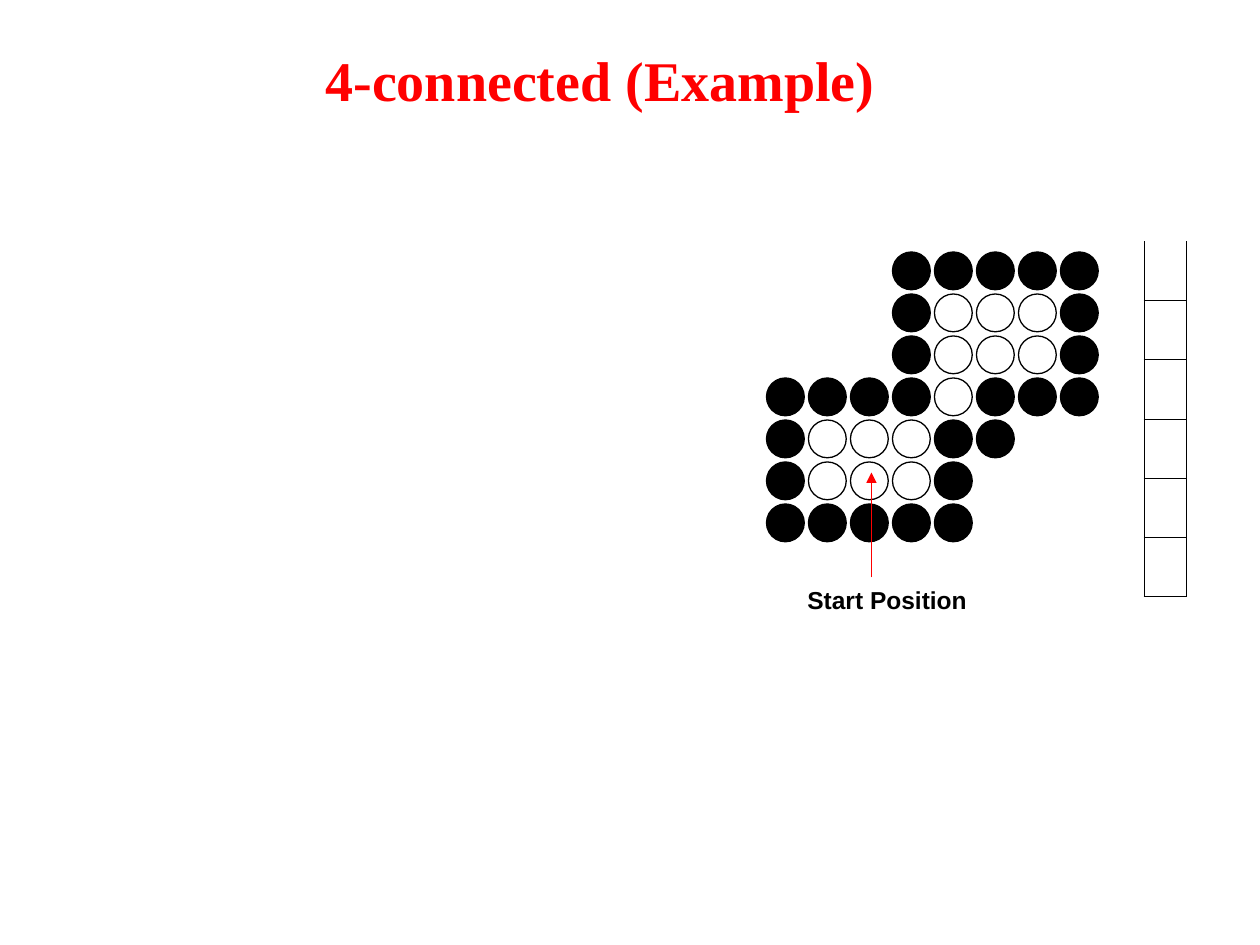
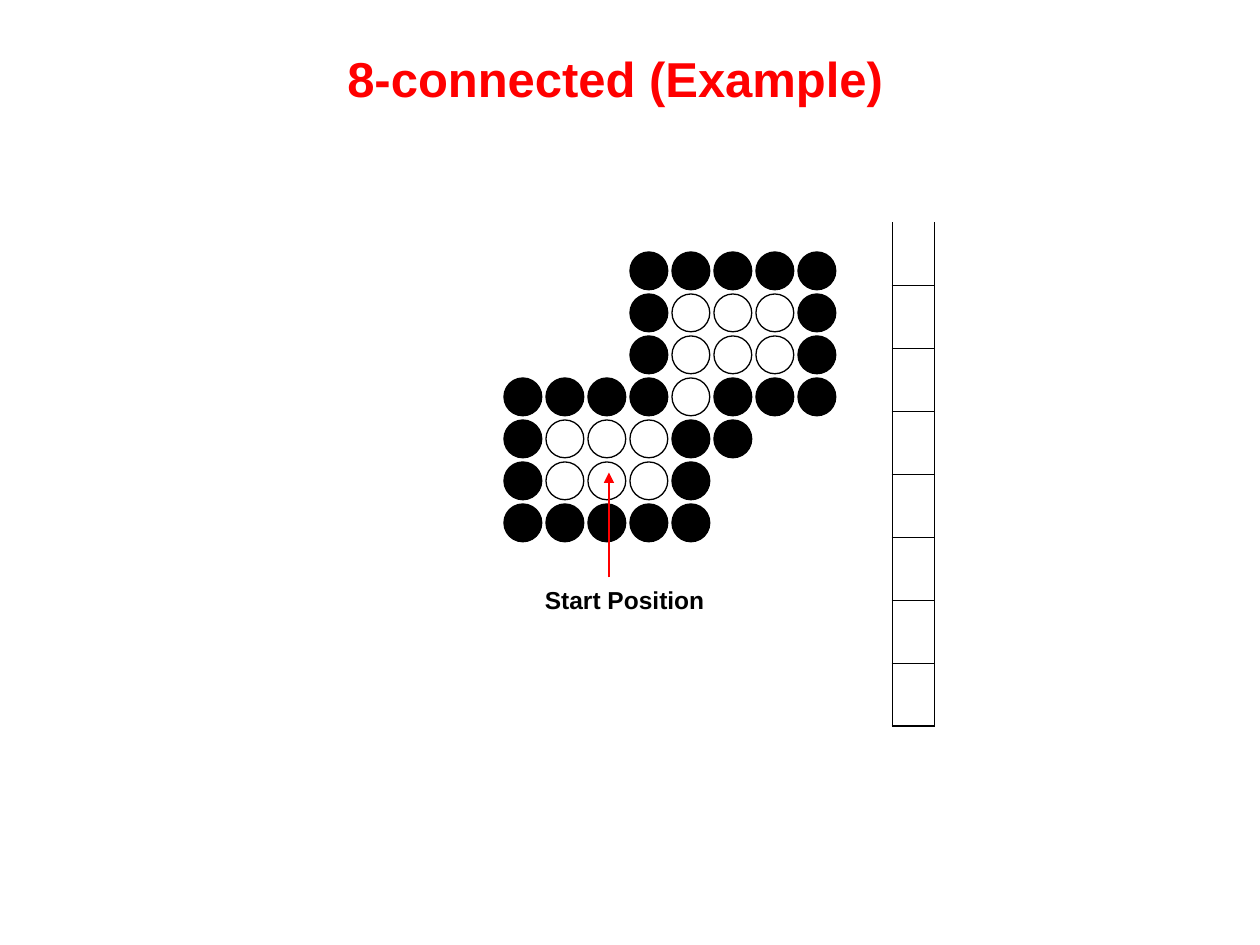
from lxml import etree
from pptx import Presentation
from pptx.dml.color import RGBColor
from pptx.enum import shapes, text
from pptx.oxml import ns
from pptx.util import Pt

BLACK = RGBColor(0x00, 0x00, 0x00)
RED = RGBColor(0xFF, 0x00, 0x00)

TITLE_ONLY = 5
PITCH = 24
PIXEL_SIZE = 21.6
REGION_TOP = 144
STACK_WIDTH = 24
SIDE_WIDTH, INNER_WIDTH = 1.08, 0.45

REGION = (
    "   #####",
    "   #ooo#",
    "   #ooo#",
    "####o###",
    "#ooo##  ",
    "#ooo#   ",
    "#####   ",
)


def add_xml(parent, tag, **attributes):
    return etree.SubElement(parent, ns.qn(tag), attributes)


def add_run(paragraph, wording, font_name, size, color):
    run = paragraph.add_run()
    run.text = wording
    run.font.name = font_name
    run.font.size = Pt(size)
    run.font.bold = True
    run.font.color.rgb = color


def set_title(slide, wording, left, font_name, size, top_inset, right_inset):
    title = slide.shapes.title
    title.left, title.top, title.width, title.height = Pt(left), Pt(18), Pt(666), Pt(46)
    frame = title.text_frame
    frame.auto_size = text.MSO_AUTO_SIZE.NONE
    frame.vertical_anchor = text.MSO_ANCHOR.TOP
    frame.margin_top = Pt(top_inset)
    frame.margin_right = Pt(right_inset)
    heading = frame.paragraphs[0]
    heading.alignment = text.PP_ALIGN.CENTER
    add_run(heading, wording, font_name, size, RED)


def add_pixel(group, left, top, is_boundary):
    pixel = group.shapes.add_shape(
        shapes.MSO_SHAPE.OVAL, Pt(left), Pt(top), Pt(PIXEL_SIZE), Pt(PIXEL_SIZE))
    pixel.shadow.inherit = False
    pixel.line.color.rgb = BLACK
    pixel.line.width = Pt(0.75)
    if is_boundary:
        pixel.fill.solid()
        pixel.fill.fore_color.rgb = BLACK
    else:
        pixel.fill.background()


def add_start_label(group, left, top):
    label = group.shapes.add_textbox(Pt(left), Pt(top), Pt(114), Pt(24.5))
    label.text_frame.word_wrap = True
    caption = label.text_frame.paragraphs[0]
    caption.alignment = text.PP_ALIGN.CENTER
    add_run(caption, "Start Position", "Arial", 14, BLACK)


def add_start_arrow(group, x, bottom, top):
    arrow = group.shapes.add_connector(
        shapes.MSO_CONNECTOR.STRAIGHT, Pt(x), Pt(bottom), Pt(x), Pt(top))
    arrow.line.color.rgb = RED
    arrow.line.width = Pt(0.75)
    add_xml(arrow.line._get_or_add_ln(), "a:tailEnd", type="triangle")
    add_xml(arrow._element.spPr, "a:effectLst")


def add_region(slide, left, top):
    group = slide.shapes.add_group_shape()
    add_start_label(group, left + 12, top + 187)
    for row, pixels in enumerate(REGION):
        for column, mark in enumerate(pixels):
            if mark != " ":
                add_pixel(group, left + column * PITCH, top + row * PITCH, mark == "#")
    add_start_arrow(group, left + 60, top + 186, top + 126)


def add_border(cell, side, width):
    border = add_xml(cell._tc.get_or_add_tcPr(), f"a:ln{side}", w=str(Pt(width)))
    if width:
        add_xml(add_xml(border, "a:solidFill"), "a:srgbClr", val=str(BLACK))
    else:
        add_xml(border, "a:noFill")


def add_stack(slide, left, top, slots, slot_height):
    stack = slide.shapes.add_table(
        slots, 1, Pt(left), Pt(top), Pt(STACK_WIDTH), Pt(slots * slot_height)).table
    stack.first_row = stack.horz_banding = False
    for index in range(slots):
        stack.rows[index].height = Pt(slot_height)
        slot = stack.cell(index, 0)
        add_border(slot, "L", SIDE_WIDTH)
        add_border(slot, "R", SIDE_WIDTH)
        add_border(slot, "T", INNER_WIDTH if index else 0)
        add_border(slot, "B", INNER_WIDTH if index < slots - 1 else SIDE_WIDTH)
        slot.fill.background()


def add_example(deck, title, region_left, stack):
    slide = deck.slides.add_slide(deck.slide_layouts[TITLE_ONLY])
    set_title(slide, **title)
    add_stack(slide, **stack)
    add_region(slide, region_left, REGION_TOP)


def main():
    deck = Presentation()
    deck.slide_width, deck.slide_height = Pt(720), Pt(540)
    add_example(
        deck,
        title=dict(wording="4-connected (Example)", left=18, font_name="Times New Roman",
                   size=32, top_inset=7.8, right_inset=23.2),
        region_left=438,
        stack=dict(left=654, top=138, slots=6, slot_height=33.83))
    add_example(
        deck,
        title=dict(wording="8-connected (Example)", left=27, font_name="Arial",
                   size=28, top_inset=9.7, right_inset=24.2),
        region_left=288,
        stack=dict(left=510, top=127, slots=8, slot_height=36))
    deck.save("out.pptx")


if __name__ == "__main__":
    main()
